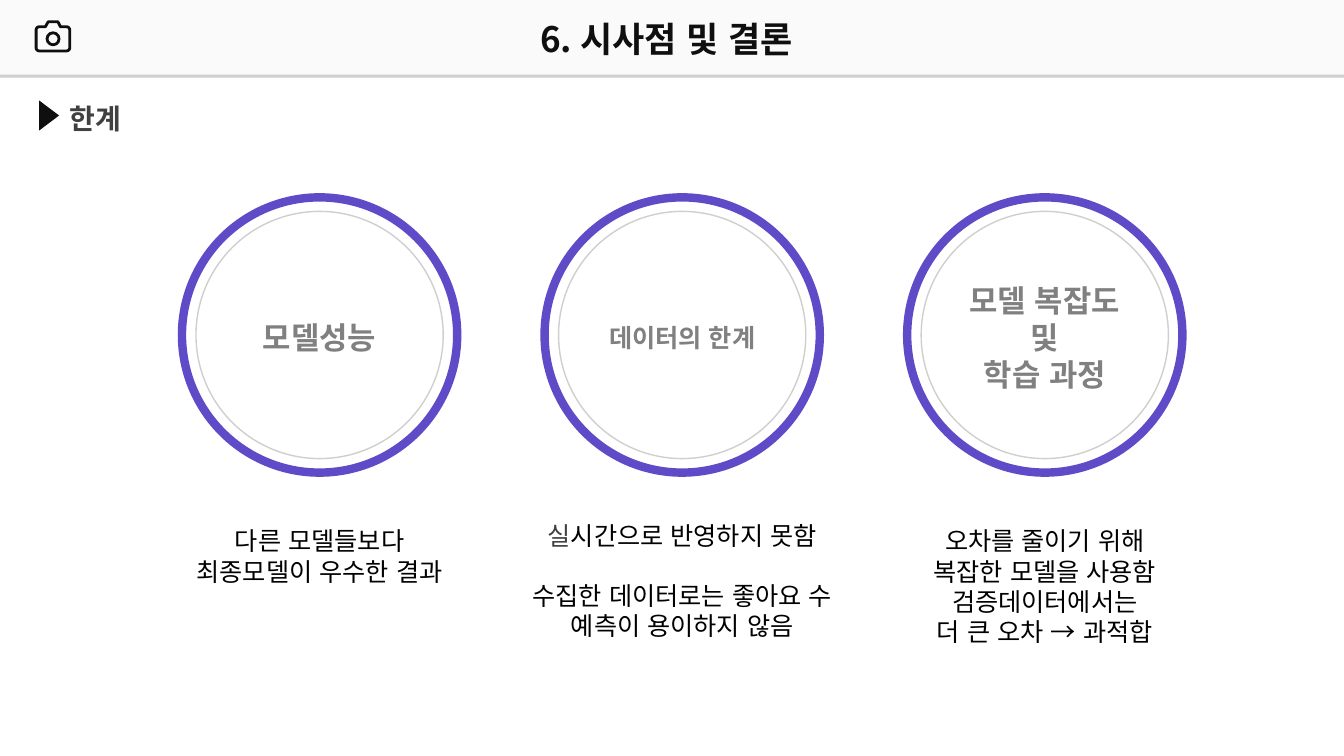
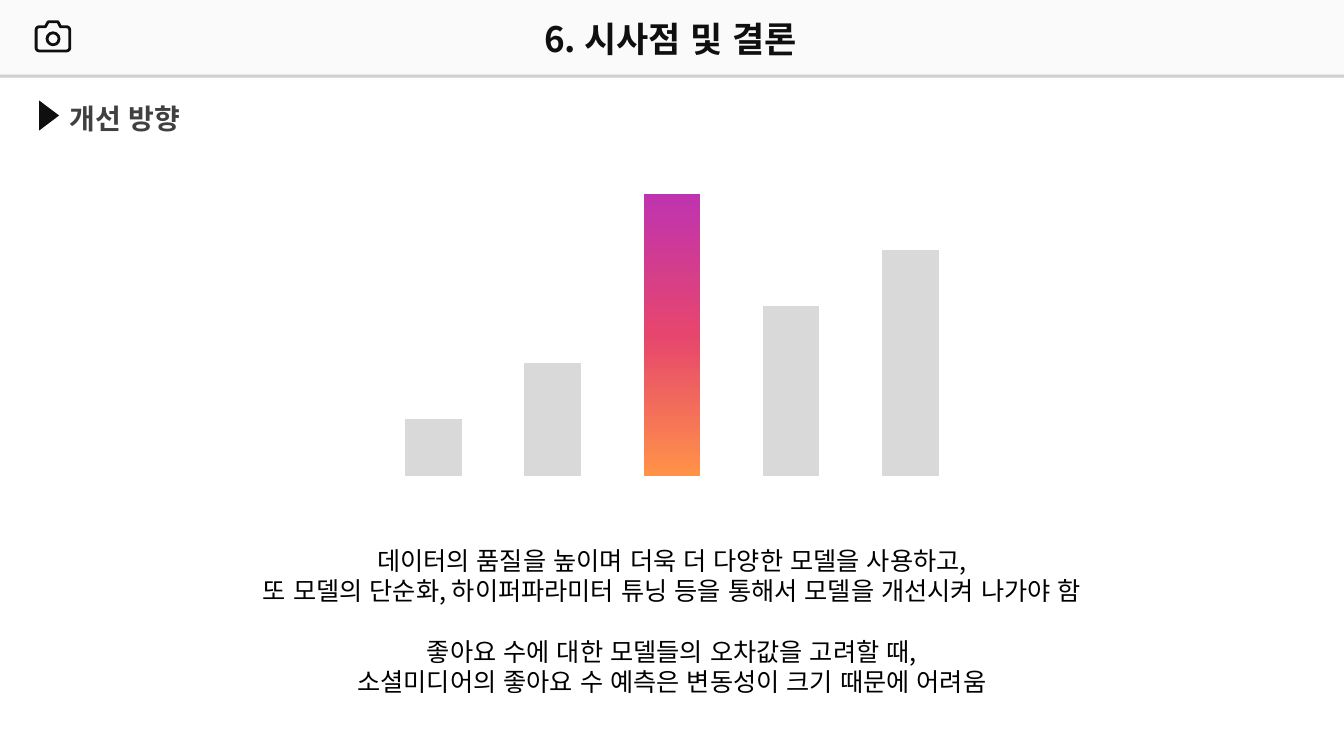
from copy import deepcopy
from dataclasses import dataclass
from math import cos, radians, sin

from lxml import etree
from pptx import Presentation
from pptx.chart.data import CategoryChartData
from pptx.dml.color import RGBColor
from pptx.enum.chart import XL_CHART_TYPE
from pptx.enum.lang import MSO_LANGUAGE_ID
from pptx.enum.shapes import MSO_SHAPE
from pptx.enum.text import MSO_ANCHOR, PP_ALIGN
from pptx.oxml import parse_xml
from pptx.oxml.ns import nsdecls, qn
from pptx.util import Pt


@dataclass(frozen=True)
class Theme:
    font: str = "Noto Sans CJK KR"
    ink: str = "0F0F0F"
    black: str = "000000"
    heading: str = "404040"
    label: str = "808080"
    rule: str = "CFCFCF"
    band: str = "FAFAFA"
    ring: str = "5F4BC8"
    bar: str = "D9D9D9"
    gradient: tuple = ("FF9248", "E6466D", "BF33B0")
    title_size: float = 25
    heading_size: float = 20
    label_size: float = 22
    body_size: float = 18
    leading: float = 1.2
    drop: float = 0.08  # baseline correction, in ems


T = Theme()
WIDTH, HEIGHT = 960, 540


def rgb(value):
    return RGBColor.from_string(value)


# Basic parts
def style(shape, fill=None, line=None, weight=1):
    shape.shadow.inherit = False
    if fill:
        shape.fill.solid()
        shape.fill.fore_color.rgb = rgb(fill)
    else:
        shape.fill.background()
    if line:
        shape.line.color.rgb = rgb(line)
        shape.line.width = Pt(weight)
    else:
        shape.line.fill.background()
    return shape


def add_shape(s, kind, x, y, w, h, **look):
    return style(s.shapes.add_shape(kind, Pt(x), Pt(y), Pt(w), Pt(h)), **look)


def format_run(r, size, color, bold):
    f = r.font
    f.name, f.size, f.bold = T.font, Pt(size), bold
    f.color.rgb = rgb(color)
    f.language_id = MSO_LANGUAGE_ID.KOREAN
    r.font.fill.solid()
    r.font.fill.fore_color.rgb = rgb(color)
    ea = etree.SubElement(r._r.get_or_add_rPr(), qn("a:ea"))
    ea.set("typeface", T.font)


def write(tf, lines, size, color, bold=False, align=PP_ALIGN.CENTER, gap_before=None):
    """Fill a text frame; gap_before is the index of a line set off by one line."""
    for i, line in enumerate(lines):
        p = tf.paragraphs[0] if i == 0 else tf.add_paragraph()
        p.text = line
        p.alignment = align
        p.line_spacing = Pt(size * T.leading)
        if i == gap_before:
            p.space_before = Pt(size * T.leading)
        for r in p.runs:
            format_run(r, size, color, bold)


def add_text(s, x, y, w, h, lines, size, color, wrap=True, **kw):
    tb = s.shapes.add_textbox(Pt(x), Pt(y + T.drop * size), Pt(w), Pt(h))
    tb.text_frame.word_wrap = wrap
    write(tb.text_frame, lines, size, color, **kw)
    return tb.text_frame


# Camera icon: rounded body with a bump on top, and a lens
def camera(s, x, y):
    w, top, bottom, radius = 24, 3.6, 20.8, 2.2
    points = [(8.6, 0), (15.6, 0), (17.4, top)]
    corners = [(w - radius, top + radius, -90), (w - radius, bottom - radius, 0),
               (radius, bottom - radius, 90), (radius, top + radius, 180)]
    for cx, cy, start in corners:
        for step in range(0, 91, 15):
            a = radians(start + step)
            points.append((cx + radius * cos(a), cy + radius * sin(a)))
    points.append((6.6, top))
    (x0, y0), *rest = [(Pt(x + px), Pt(y + py)) for px, py in points]
    fb = s.shapes.build_freeform(x0, y0)
    fb.add_line_segments(rest, close=True)
    style(fb.convert_to_shape(), line=T.ink, weight=2)
    add_shape(s, MSO_SHAPE.OVAL, x + 7.8, y + 7.8, 8.6, 8.6, line=T.ink, weight=2)


# Shared frame: top band, title and section heading
def new_slide(prs, title, title_x, heading):
    s = prs.slides.add_slide(prs.slide_layouts[6])
    for y, color in ((2.2, T.rule), (0, T.band)):
        add_shape(s, MSO_SHAPE.RECTANGLE, 0, y, WIDTH, 53.3, fill=color)
    camera(s, 25.8, 15.6)
    add_text(s, title_x, 7.2, 202, 37.4, [title], T.title_size, T.ink,
             wrap=False, bold=True, align=PP_ALIGN.LEFT)
    marker = add_shape(s, MSO_SHAPE.ISOSCELES_TRIANGLE, 24.4, 75.4, 21.4, 14.2, fill=T.ink)
    marker.rotation = 90
    add_text(s, 42.4, 67.6, 95 if " " in heading else 52, 31.5, [heading],
             T.heading_size, T.heading, wrap=False, bold=True, align=PP_ALIGN.LEFT)
    return s


# One limitation: double ring with a label, and a caption below
def ring_column(s, x, y, label, label_size, caption, caption_w, caption_dy, gap_before):
    outer, inset = 196.6, 10
    add_shape(s, MSO_SHAPE.OVAL, x, y, outer, outer, line=T.ring, weight=6)
    inner = outer - 2 * inset
    disc = add_shape(s, MSO_SHAPE.OVAL, x + inset, y + inset, inner, inner, line=T.rule)
    tf = disc.text_frame
    tf.word_wrap = True
    tf.vertical_anchor = MSO_ANCHOR.MIDDLE
    tf.margin_top = Pt(3.6 + 2 * T.drop * label_size)
    write(tf, label, label_size, T.label, bold=True)
    return add_text(s, x + (outer - caption_w) / 2, y + caption_dy, caption_w, 94,
                    caption, T.body_size, T.black, gap_before=gap_before)


def limits_slide(prs):
    s = new_slide(prs, "6. 시사점 및 결론", 378.8, "한계")
    columns = [
        (["모델성능"], T.label_size,
         ["다른 모델들보다\v최종모델이 우수한 결과"], 196.6, 229.6, None),
        (["데이터의 한계"], T.body_size,
         ["실시간으로 반영하지 못함", "수집한 데이터로는 좋아요 수\v예측이 용이하지 않음"],
         269.2, 225.4, 1),
        (["모델 복잡도", "및", "학습 과정"], T.label_size,
         ["오차를 줄이기 위해", "복잡한 모델을 사용함", "검증데이터에서는", "더 큰 오차 → 과적합"],
         196.6, 229.6, None),
    ]
    captions = [ring_column(s, 130 + i * 259, 141, *column)
                for i, column in enumerate(columns)]
    # The first syllable of the middle caption is grey
    p = captions[1].paragraphs[0]
    first = p.runs[0]
    text = first.text
    rest = p.add_run()
    first.text, rest.text = text[:1], text[1:]
    format_run(rest, T.body_size, T.black, False)
    first.font.color.rgb = rgb(T.heading)


# Column chart with one highlighted bar
def highlight_chart(s, x, y, w, h, values, highlight):
    data = CategoryChartData()
    data.categories = [str(i + 1) for i in range(len(values))]
    data.add_series("Series 1", values)
    chart = s.shapes.add_chart(XL_CHART_TYPE.COLUMN_CLUSTERED,
                               Pt(x), Pt(y), Pt(w), Pt(h), data).chart
    chart.has_legend = chart.has_title = False
    chart.font.name, chart.font.size = T.font, Pt(10)
    chart.font.color.rgb = rgb(T.black)
    axis = chart.value_axis
    axis.minimum_scale, axis.maximum_scale = 0, 120
    axis.has_major_gridlines = False
    axis.visible = chart.category_axis.visible = False
    plot = chart.plots[0]
    plot.gap_width, plot.overlap, plot.vary_by_categories = 110, -27, False
    series = plot.series[0]
    series.format.fill.solid()
    series.format.fill.fore_color.rgb = rgb(T.band)
    for i in range(len(values)):
        fill = series.points[i].format.fill
        if i != highlight:
            fill.solid()
            fill.fore_color.rgb = rgb(T.bar)
            continue
        fill.gradient()
        fill.gradient_angle = 90
        stops = next(series._element.iter(qn("a:gsLst")))
        stops.append(deepcopy(stops[-1]))
        for k, (stop, color) in enumerate(zip(fill.gradient_stops, T.gradient)):
            stop.position = k / 2
            stop.color.rgb = rgb(color)
    # Plot area fills the chart below a top margin
    area = next(chart._chartSpace.iter(qn("c:plotArea")))
    for old in area.findall(qn("c:layout")):
        area.remove(old)
    area.insert(0, parse_xml(
        f'<c:layout {nsdecls("c")}><c:manualLayout><c:layoutTarget val="inner"/>'
        '<c:xMode val="edge"/><c:yMode val="edge"/><c:x val="0"/><c:y val="0.118"/>'
        '<c:w val="1"/><c:h val="0.882"/></c:manualLayout></c:layout>'))


def improvement_slide(prs):
    s = new_slide(prs, "6. 시사점 및 결론", 381.6, "개선 방향")
    highlight_chart(s, 267.2, 65.6, 425.6, 274.4, (20, 40, 100, 60, 80), 2)
    add_text(s, 34.6, 384.4, 890.6, 116.6, [
        "데이터의 품질을 높이며 더욱 더 다양한 모델을 사용하고,",
        "또 모델의 단순화, 하이퍼파라미터 튜닝 등을 통해서 모델을 개선시켜 나가야 함",
        "좋아요 수에 대한 모델들의 오차값을 고려할 때,",
        "소셜미디어의 좋아요 수 예측은 변동성이 크기 때문에 어려움",
    ], T.body_size, T.black, gap_before=2)


def main():
    prs = Presentation()
    prs.slide_width, prs.slide_height = Pt(WIDTH), Pt(HEIGHT)
    limits_slide(prs)
    improvement_slide(prs)
    prs.save("out.pptx")


if __name__ == "__main__":
    main()
